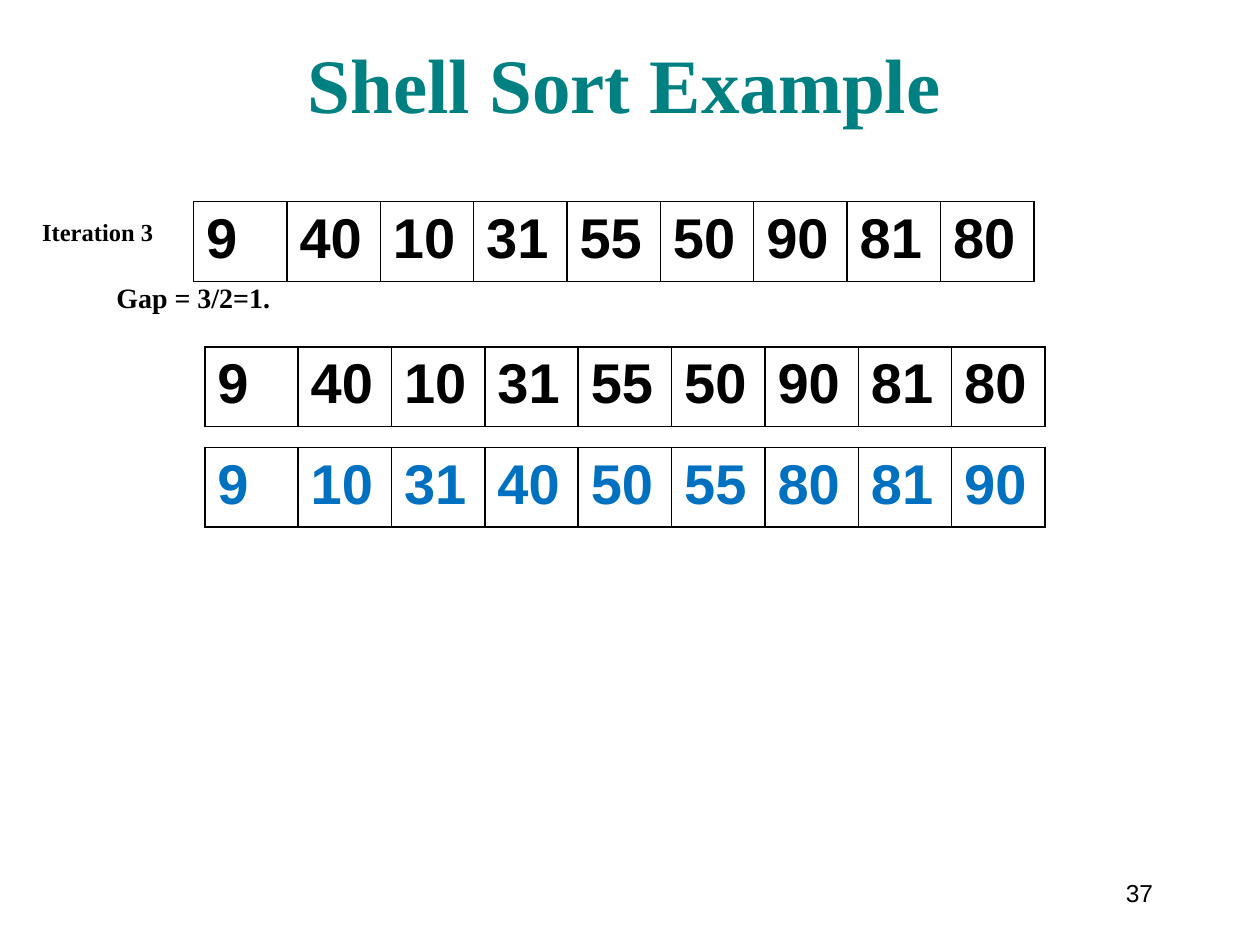
import pptx
import pptx.util
import pptx.dml.color
import pptx.enum.text
import pptx.oxml
import pptx.oxml.ns

Pt = pptx.util.Pt
ALIGN = pptx.enum.text.PP_ALIGN
ANCHOR = pptx.enum.text.MSO_ANCHOR

COLORS = {"title": "008080", "text": "000000", "sorted": "0070C0", "border": "000000"}
SERIF, SANS = "Times New Roman", "Arial"
COLUMN_WIDTH, ROW_HEIGHT = 53.35, 29.5

UNSORTED = [9, 40, 10, 31, 55, 50, 90, 81, 80]


def place(shape, left, top, width, height):
    box = {"left": left, "top": top, "width": width, "height": height}
    for side, length in box.items():
        setattr(shape, side, Pt(length))


def write(frame, wording, color, align=ALIGN.LEFT, **font_format):
    paragraph = frame.paragraphs[0]
    paragraph.alignment = align
    run = paragraph.add_run()
    run.text = wording
    for attribute, value in font_format.items():
        setattr(run.font, attribute, value)
    run.font.color.rgb = pptx.dml.color.RGBColor.from_string(COLORS[color])


def set_frame(frame, **frame_format):
    for attribute, value in frame_format.items():
        setattr(frame, attribute, value)


def add_title(slide, wording):
    title = slide.shapes.title
    place(title, 48, 18, 618, 59)
    set_frame(title.text_frame, vertical_anchor=ANCHOR.BOTTOM, word_wrap=True,
              auto_size=pptx.enum.text.MSO_AUTO_SIZE.NONE)
    write(title.text_frame, wording, "title", ALIGN.CENTER,
          size=Pt(44), name=SERIF, bold=True)


def add_label(slide, wording, box, size, name=SERIF, bold=True,
              align=ALIGN.LEFT, anchor=ANCHOR.TOP, wrap=True):
    label = slide.shapes.add_textbox(*map(Pt, box))
    set_frame(label.text_frame, word_wrap=wrap, vertical_anchor=anchor)
    write(label.text_frame, wording, "text", align,
          size=Pt(size), name=name, bold=bold)


def add_borders(cell):
    properties = cell._tc.get_or_add_tcPr()
    for position, side in enumerate(("lnL", "lnR", "lnT", "lnB")):
        line = pptx.oxml.parse_xml(
            f'<a:{side} {pptx.oxml.ns.nsdecls("a")} w="{int(Pt(1))}">'
            f'<a:solidFill><a:srgbClr val="{COLORS["border"]}"/></a:solidFill>'
            f'</a:{side}>')
        properties.insert(position, line)


def add_array(slide, values, left, top, color="text"):
    count = len(values)
    table = slide.shapes.add_table(
        1, count, Pt(left), Pt(top), Pt(COLUMN_WIDTH * count), Pt(ROW_HEIGHT)).table
    table.first_row = table.horz_banding = False
    for column, value in enumerate(values):
        table.columns[column].width = Pt(COLUMN_WIDTH)
        cell = table.cell(0, column)
        cell.fill.background()
        add_borders(cell)
        write(cell.text_frame, str(value), color, size=Pt(32), name=SANS, bold=True)


def main():
    deck = pptx.Presentation()
    deck.slide_width, deck.slide_height = Pt(720), Pt(540)
    slide = deck.slides.add_slide(deck.slide_layouts[5])

    # Heading and page number
    add_title(slide, "Shell Sort Example")
    add_label(slide, "37", (618, 492, 48, 36), 14, SANS, False,
              ALIGN.RIGHT, ANCHOR.MIDDLE, wrap=False)

    # Third iteration: the array before the pass
    add_label(slide, "Iteration 3", (17, 120.5, 85, 24.5), 14)
    add_array(slide, UNSORTED, 110.6, 115.2)

    # Gap of one: the array before and after sorting
    add_label(slide, "Gap = 3/2=1.", (59.5, 157, 499, 26.6), 16)
    add_array(slide, UNSORTED, 117, 198.2)
    add_array(slide, sorted(UNSORTED), 117, 255.6, "sorted")

    deck.save("out.pptx")


main()
